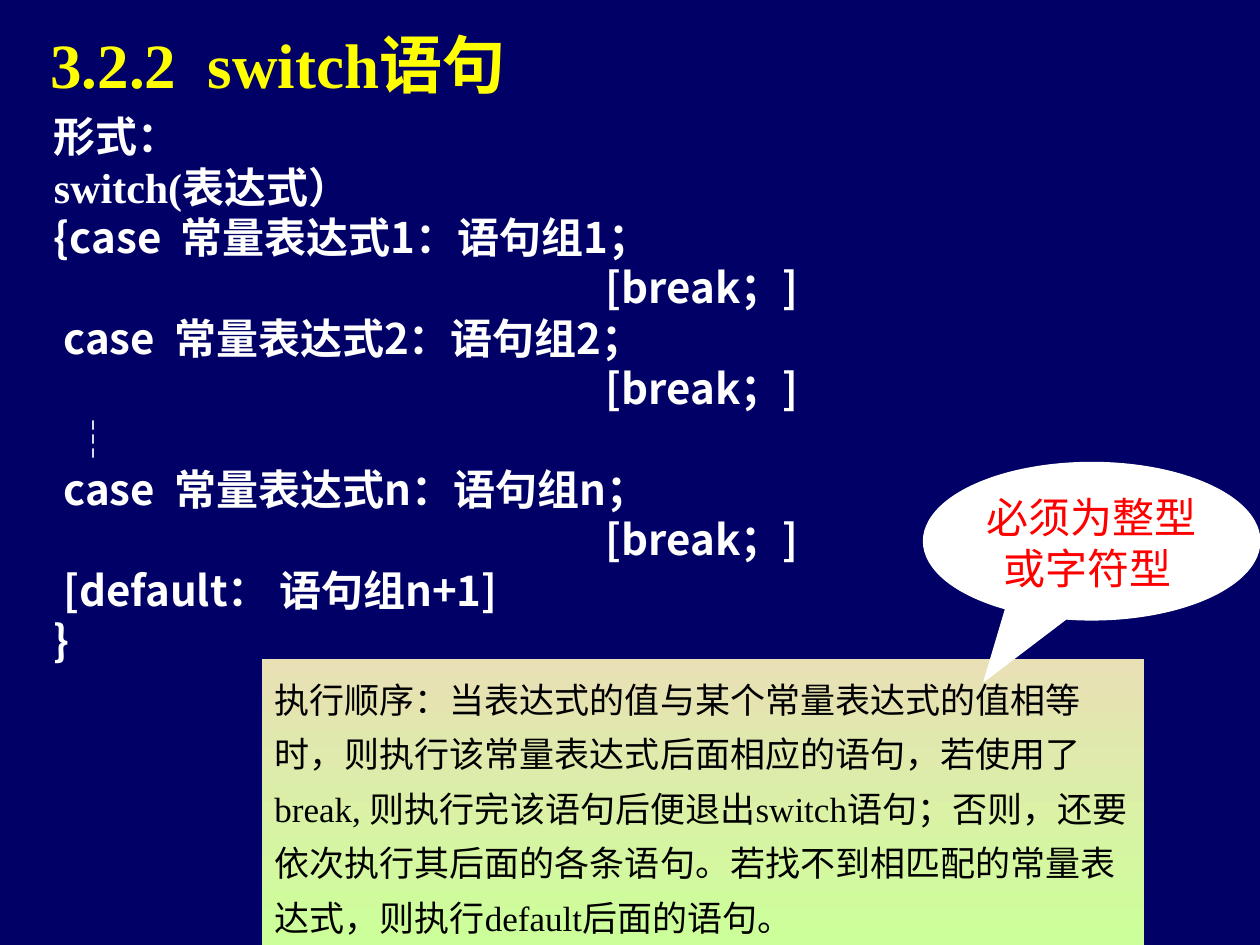
from lxml.etree import SubElement
from pptx import Presentation
from pptx.dml.color import RGBColor
from pptx.enum.shapes import MSO_SHAPE as Shape
from pptx.enum.text import MSO_ANCHOR as Anchor, PP_ALIGN as Align
from pptx.oxml.ns import qn
from pptx.util import Inches, Pt

NAVY = RGBColor(0x00, 0x00, 0x66)
YELLOW = RGBColor(0xFF, 0xFF, 0x00)
WHITE = RGBColor(0xFF, 0xFF, 0xFF)
BLACK = RGBColor(0x00, 0x00, 0x00)
RED = RGBColor(0xFF, 0x00, 0x00)
SAND = RGBColor(0xE9, 0xE0, 0xB5)
LIME = RGBColor(0xCC, 0xFF, 0x99)
SERIF, SANS = "Times New Roman", "Noto Sans CJK SC"

TITLE = "3.2.2  switch语句"
BREAK = "[break；]"
SYNTAX = [
    ("形式：", SERIF),
    ("switch(表达式）", SERIF),
    ("{case  常量表达式1：语句组1；", SANS),
    (BREAK, SANS),
    (" case  常量表达式2：语句组2；", SANS),
    (BREAK, SANS),
    ("  ┆", SANS),
    (" case  常量表达式n：语句组n；", SANS),
    (BREAK, SANS),
    (" [default： 语句组n+1]", SANS),
    ("}", SANS),
]
ORDER = (
    "执行顺序：当表达式的值与某个常量表达式的值相等时，则执行该常量表达式后面相应的语句，"
    "若使用了break, 则执行完该语句后便退出switch语句；否则，还要依次执行其后面的各条语句。"
    "若找不到相匹配的常量表达式，则执行default后面的语句。"
)
NOTE = "必须为整型或字符型 "


def inches(*nums):
    return [Inches(n) for n in nums]


def style(para, face, size, color, bold=False):
    """Set the Latin and East Asian fonts of a paragraph; keep punctuation inside."""
    para._p.get_or_add_pPr().set("hangingPunct", "0")
    font = para.font
    font.size, font.bold, font.name = Pt(size), bold, face
    font.color.rgb = color
    SubElement(font._element, qn("a:ea"), typeface=SANS)


def add_panel(slide, kind, box, anchor):
    panel = slide.shapes.add_shape(kind, *inches(*box))
    panel.shadow.inherit = False
    panel.text_frame.word_wrap = True
    panel.text_frame.vertical_anchor = anchor
    return panel


def add_title(slide):
    title = slide.shapes.title
    title.left, title.top, title.width, title.height = inches(0, 0, 8.5, 0.92)
    frame = title.text_frame
    frame.text = TITLE
    frame.margin_left, frame.margin_top = inches(0.4, 0.13)
    frame.vertical_anchor = Anchor.MIDDLE
    para = frame.paragraphs[0]
    para.alignment = Align.LEFT
    style(para, SERIF, 36, YELLOW, True)


def add_syntax(slide):
    frame = slide.shapes.add_textbox(*inches(0.33, 0.83, 8.5, 5.75)).text_frame
    frame.word_wrap = True
    frame.text = "\n".join(text for text, _ in SYNTAX)
    for para, (text, face) in zip(frame.paragraphs, SYNTAX):
        if text == BREAK:
            para._p.get_or_add_pPr().set("marL", str(Inches(4.38)))
        style(para, face, 24, WHITE, True)


def add_order(slide):
    panel = add_panel(slide, Shape.RECTANGLE, (2.08, 5.23, 7, 2.27), Anchor.MIDDLE)
    panel.fill.gradient()
    panel.fill.gradient_angle = 270
    for stop, color in zip(panel.fill.gradient_stops, (SAND, LIME)):
        stop.color.rgb = color
    panel.line.fill.background()
    panel.text_frame.text = ORDER
    para = panel.text_frame.paragraphs[0]
    para.alignment = Align.LEFT
    para.line_spacing = 1.3
    style(para, SERIF, 20, BLACK)


def add_note(slide):
    note = add_panel(slide, Shape.OVAL_CALLOUT, (7.33, 3.67, 2.67, 1.25), Anchor.TOP)
    note.adjustments[0], note.adjustments[1] = -0.32, 0.89
    note.fill.solid()
    note.fill.fore_color.rgb = WHITE
    note.line.color.rgb = WHITE
    note.line.width = Pt(0.75)
    note.text_frame.text = NOTE
    para = note.text_frame.paragraphs[0]
    para.alignment = Align.CENTER
    style(para, SANS, 24, RED)


def main():
    deck = Presentation()
    deck.slide_width, deck.slide_height = inches(10, 7.5)
    slide = deck.slides.add_slide(deck.slide_layouts[5])
    slide.background.fill.solid()
    slide.background.fill.fore_color.rgb = NAVY
    for add in (add_title, add_syntax, add_order, add_note):
        add(slide)
    deck.save("out.pptx")


if __name__ == "__main__":
    main()
